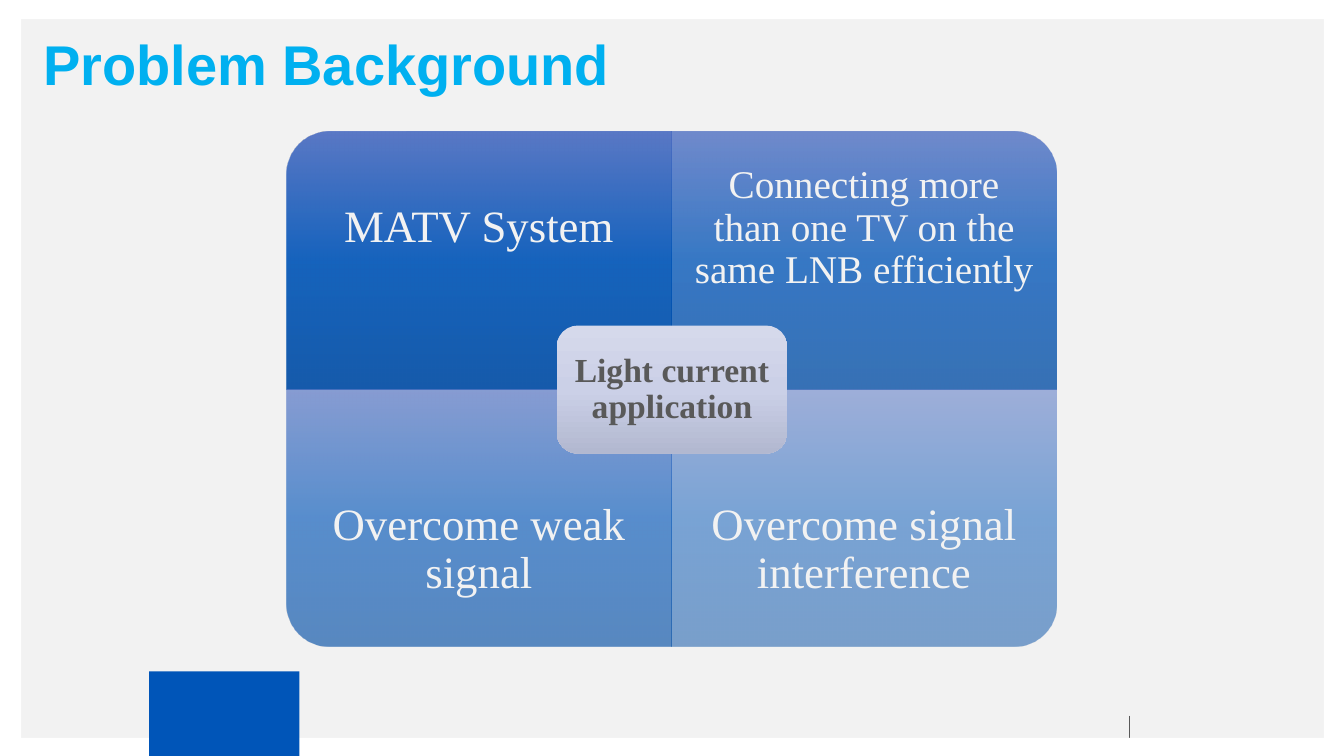
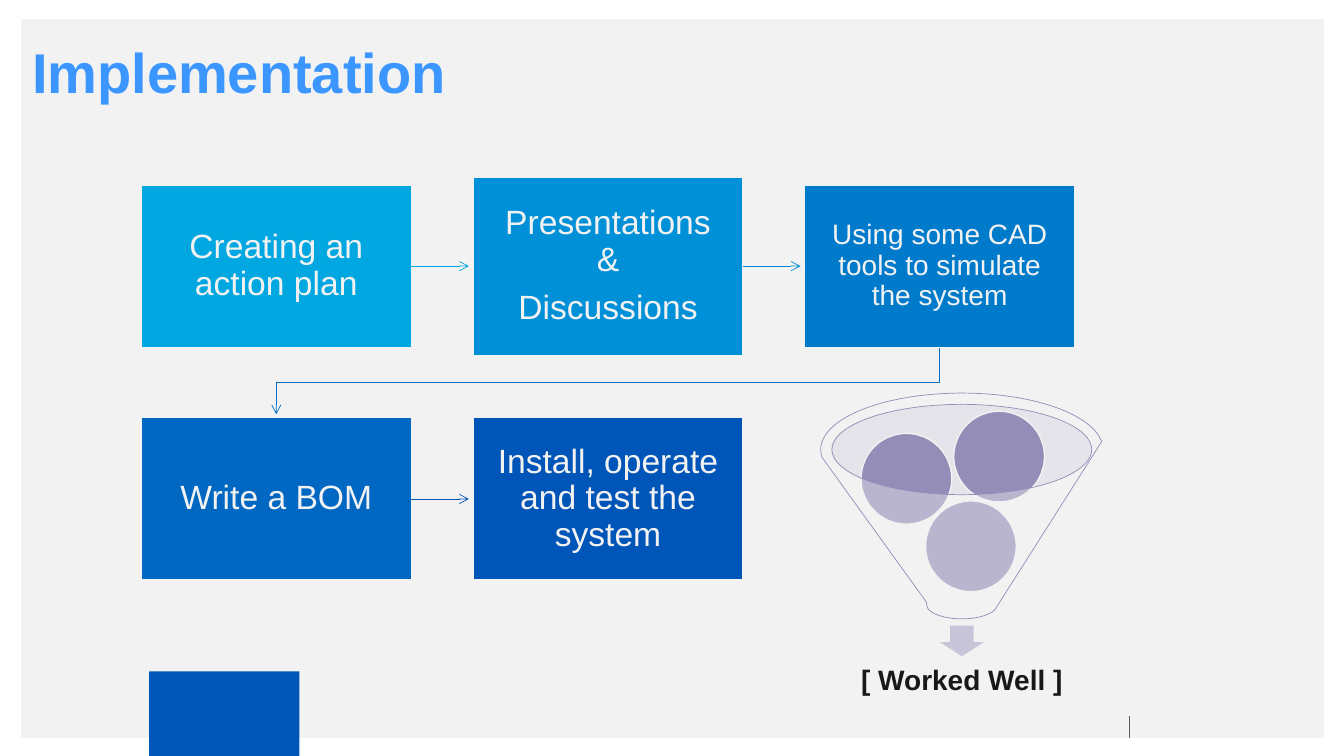
"""Two slides on a light current project: its background and its implementation."""
from lxml import etree
from pptx import Presentation
from pptx import util as u
from pptx.dml.color import RGBColor
from pptx.enum import shapes, text
from pptx.oxml import parse_xml
from pptx.oxml.ns import nsdecls, qn

Inches, Pt = u.Inches, u.Pt
SHAPE = shapes.MSO_SHAPE
PALE, WHITE, BLUE, GREY, PURPLE = "F2F2F2", "FFFFFF", "0055B8", "595959", "938DB8"
SANS, SERIF = "Arial", "Times New Roman"
QUADRANT_STOPS = ("4B6CC1", BLUE, "004CA4")
CENTRE_STOPS = ("D5D9EB", "CBD0E7", "B2B8D0")


def rgb(value):
    """Turn a hex string into a colour."""
    return RGBColor.from_string(value)


def set_line(line, colour, width):
    """Colour an outline, or hide it when no colour is given."""
    if colour:
        line.color.rgb = rgb(colour)
        line.width = Pt(width)
    else:
        line.fill.background()


def add_block(slide, kind, box, fill=None, opacity=100, line=None, width=1):
    """Add a preset shape with a plain fill."""
    block = slide.shapes.add_shape(kind, *map(Inches, box))
    block.shadow.inherit = False
    set_line(block.line, line, width)
    if fill:
        block.fill.solid()
        block.fill.fore_color.rgb = rgb(fill)
        if opacity < 100:
            colour = block.element.spPr.find(qn("a:solidFill"))[0]
            etree.SubElement(colour, qn("a:alpha"), val=str(opacity * 1000))
    else:
        block.fill.background()
    return block


def add_shaded_block(slide, kind, box, colours, opacity=100):
    """Add a preset shape shaded from top to bottom."""
    block = add_block(slide, kind, box)
    stops = "".join(
        f'<a:gs pos="{i * 50000}"><a:srgbClr val="{colour}">'
        f'<a:alpha val="{opacity * 1000}"/></a:srgbClr></a:gs>'
        for i, colour in enumerate(colours))
    gradient = parse_xml(
        f'<a:gradFill {nsdecls("a")} rotWithShape="0"><a:gsLst>{stops}</a:gsLst>'
        '<a:lin ang="5400000" scaled="0"/></a:gradFill>')
    properties = block.element.spPr
    properties.replace(properties.find(qn("a:noFill")), gradient)
    return block


def write(holder, words, size, colour, font=SANS, bold=False, inset=None,
          align=text.PP_ALIGN.CENTER):
    """Write one paragraph per line of words, centred vertically."""
    frame = holder.text_frame
    frame.word_wrap = True
    frame.vertical_anchor = text.MSO_ANCHOR.MIDDLE
    if inset is not None:
        frame.margin_left = frame.margin_right = Inches(inset)
        frame.margin_top = frame.margin_bottom = Inches(inset)
    frame.text = words
    for i, paragraph in enumerate(frame.paragraphs):
        paragraph.alignment = align
        paragraph.line_spacing = 0.9
        if i:
            paragraph.space_before = Pt(size * 0.35)
        paragraph.font.name = font
        paragraph.font.size = Pt(size)
        paragraph.font.bold = bold
        paragraph.font.color.rgb = rgb(colour)


def add_label(slide, box, words, size, colour, **style):
    """Add a text box."""
    write(slide.shapes.add_textbox(*map(Inches, box)), words, size, colour, **style)


def add_rule(slide, start, end, colour):
    """Add a thin straight line."""
    rule = slide.shapes.add_connector(
        shapes.MSO_CONNECTOR.STRAIGHT, *map(Inches, start + end))
    set_line(rule.line, colour, 0.5)
    etree.SubElement(rule.element.spPr, qn("a:effectLst"))
    return rule


def add_arrowhead(outline):
    """Put an open arrowhead at the end of a line."""
    line = outline.element.spPr.find(qn("a:ln"))
    etree.SubElement(line, qn("a:tailEnd"), type="arrow")


def add_step_arrow(slide, step, colour):
    """Lead from the right side of a step towards the next one."""
    x = (step.left + step.width) / Inches(1)
    y = (step.top + step.height / 2) / Inches(1)
    arrow = add_rule(slide, (x, y), (x + 0.57, y), colour)
    arrow.begin_connect(step, 3)
    add_arrowhead(arrow)


def add_return_arrow(slide, points, colour):
    """Draw the bent arrow that leads to the next row."""
    start, *rest = [tuple(map(Inches, point)) for point in points]
    builder = slide.shapes.build_freeform(*start)
    builder.add_line_segments(rest, close=False)
    arrow = builder.convert_to_shape()
    arrow.shadow.inherit = False
    arrow.fill.background()
    set_line(arrow.line, colour, 0.5)
    add_arrowhead(arrow)


def add_framed_slide(deck, title, title_box, title_colour):
    """Start a slide with the shared frame, footer marks and title."""
    slide = deck.slides.add_slide(deck.slide_layouts[6])
    slide.background.fill.solid()
    slide.background.fill.fore_color.rgb = rgb(PALE)
    add_rule(slide, (11.2, 7.1), (11.2, 7.33), GREY)
    for band in ((0, 0, 0.21, 7.5), (13.13, 0, 0.2, 7.5),
                 (0, 0, 13.33, 0.19), (0, 7.32, 13.33, 0.18)):
        add_block(slide, SHAPE.RECTANGLE, band, WHITE)
    add_block(slide, SHAPE.RECTANGLE, (1.48, 6.66, 1.49, 0.84), BLUE)
    add_label(slide, title_box, title, 40, title_colour, bold=True,
              align=text.PP_ALIGN.LEFT)
    return slide


def add_quadrant(slide, row, column, words, size, inset, rotation, opacity):
    """Add one quarter of the matrix, its round corner turned outwards."""
    width, height, label_height = 3.82, 2.55, 1.91
    left, top = 2.84 + column * width, 1.31 + row * height
    box = (left, top, width, height)
    if rotation % 180:
        shift = (width - height) / 2
        box = (left + shift, top - shift, height, width)
    quarter = add_shaded_block(slide, SHAPE.ROUND_1_RECTANGLE, box,
                               QUADRANT_STOPS, opacity)
    quarter.rotation = rotation
    label_top = top + row * (height - label_height)
    add_label(slide, (left, label_top, width, label_height), words, size, PALE,
              font=SERIF, inset=inset)


def build_background(deck):
    """Build the matrix slide."""
    slide = add_framed_slide(deck, "Problem Background",
                             (0.33, 0.32, 8.93, 0.7), "00B0F0")
    quadrants = (
        (0, 0, "MATV System", 32, 0.25, 270, 90),
        (0, 1, "Connecting more than one TV on the same LNB efficiently",
         28, 0.22, 0, 77),
        (1, 0, "Overcome weak signal", 32, 0.25, 180, 63),
        (1, 1, "Overcome signal interference", 32, 0.25, 90, 50),
    )
    for quadrant in quadrants:
        add_quadrant(slide, *quadrant)
    centre = add_shaded_block(slide, SHAPE.ROUNDED_RECTANGLE,
                              (5.52, 3.23, 2.29, 1.27), CENTRE_STOPS)
    write(centre, "Light current application", 24, GREY, font=SERIF, bold=True,
          inset=0.1)


def add_funnel(slide):
    """Add the funnel with its balls and its outcome."""
    add_block(slide, SHAPE.OVAL, (8.24, 4.01, 2.58, 0.9), "D2D0DF", 40)
    add_block(slide, SHAPE.DOWN_ARROW, (9.29, 6.2, 0.5, 0.32), "C8C5D8", line=PALE)
    add_label(slide, (8.34, 6.46, 2.4, 0.6), "[ Worked Well ]", 20, "181818",
              bold=True, inset=0.16)
    for left, top in ((9.18, 4.97), (8.54, 4.3), (9.46, 4.08)):
        add_block(slide, SHAPE.OVAL, (left, top, 0.9, 0.9), PURPLE, line=PALE)
    add_block(slide, SHAPE.FUNNEL, (8.14, 3.9, 2.8, 2.24), PALE, 40, PURPLE, 0.5)


def build_implementation(deck):
    """Build the process slide."""
    slide = add_framed_slide(deck, "Implementation",
                             (0.22, 0.22, 10.44, 1.06), "3B96FF")
    steps = (
        (0, 0, 1.61, "Creating an action plan", 24, 0.19, "00A7E1", "00A7E1"),
        (0, 1, 1.77, "Presentations &\nDiscussions", 24, 0.19, "0090D7", "0089D3"),
        (0, 2, 1.61, "Using some CAD tools to simulate the system",
         20, 0.16, "007BCC", None),
        (1, 0, 1.61, "Write a BOM", 24, 0.19, "0067C2", BLUE),
        (1, 1, 1.61, "Install, operate and test the system", 24, 0.19, BLUE, None),
    )
    for row, column, height, words, size, inset, fill, arrow in steps:
        middle = 2.64 + row * 2.31
        step = add_block(slide, SHAPE.RECTANGLE,
                         (1.4 + column * 3.29, middle - height / 2, 2.68, height),
                         fill, line=PALE)
        write(step, words, size, PALE, inset=inset)
        if arrow:
            add_step_arrow(slide, step, arrow)
    add_return_arrow(slide, ((9.32, 3.45), (9.32, 3.79), (2.74, 3.79), (2.74, 4.11)),
                     "006EC6")
    add_funnel(slide)


def main():
    """Build and save the deck."""
    deck = Presentation()
    deck.slide_width, deck.slide_height = Inches(13.33), Inches(7.5)
    build_background(deck)
    build_implementation(deck)
    deck.save("out.pptx")


if __name__ == "__main__":
    main()
